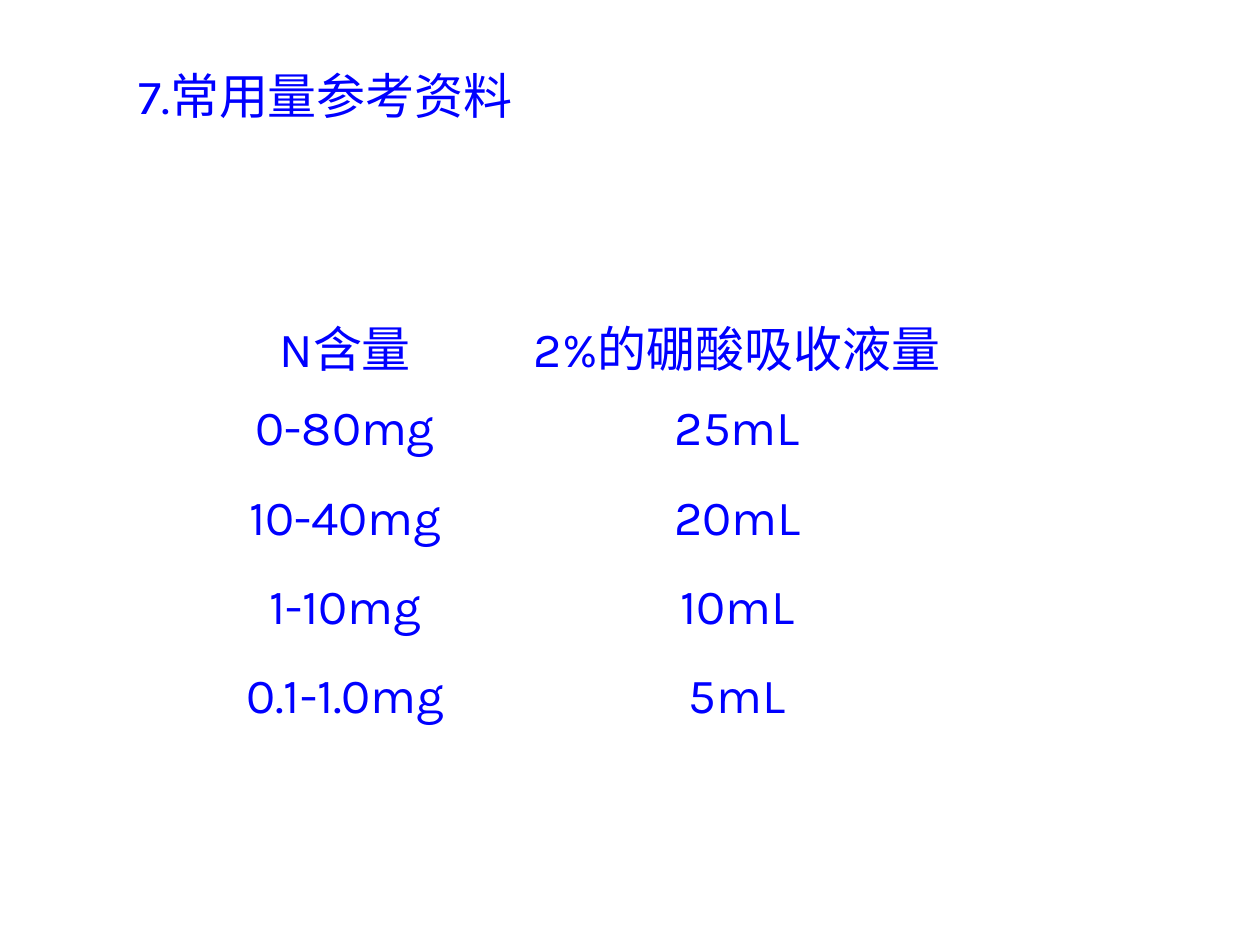
from lxml.etree import SubElement
from pptx import Presentation
from pptx.dml.color import RGBColor
from pptx.enum.text import MSO_ANCHOR, PP_ALIGN
from pptx.oxml.ns import qn
from pptx.util import Inches, Pt

TITLE = "7.常用量参考资料"
ROWS = [
    ("N含量", "2%的硼酸吸收液量"),
    ("0-80mg", "25mL"),
    ("10-40mg", "20mL"),
    ("1-10mg", "10mL"),
    ("0.1-1.0mg", "5mL"),
]
WIDTHS = (2.14, 4.08)
PITCH = 0.71
BLUE, WHITE = "0000FF", "FFFFFF"
THICK, THIN = 1.08, 0.45


def color(code):
    return RGBColor.from_string(code)


def write(frame, text):
    para = frame.paragraphs[0]
    para.text = text
    para.font.name = "Karla"
    para.font.size = Pt(28)
    para.font.color.rgb = color(BLUE)
    return para


def border(cell, sides):
    """Draw white cell edges; sides maps an edge tag to its points."""
    props = cell._tc.get_or_add_tcPr()
    for tag, width in sides.items():
        line = SubElement(props, qn(f"a:{tag}"), w=str(Pt(width)))
        fill = SubElement(line, qn("a:solidFill"))
        SubElement(fill, qn("a:srgbClr"), val=WHITE)


deck = Presentation()
deck.slide_width, deck.slide_height = Inches(10), Inches(7.5)
slide = deck.slides.add_slide(deck.slide_layouts[6])

title = slide.shapes.add_textbox(
    Inches(1), Inches(0.17), Inches(8.42), Inches(1.17)).text_frame
title.word_wrap = True
title.vertical_anchor = MSO_ANCHOR.MIDDLE
write(title, TITLE)

table = slide.shapes.add_table(
    len(ROWS), len(WIDTHS), Inches(1.67), Inches(2.42),
    Inches(sum(WIDTHS)), Inches(PITCH * len(ROWS))).table
table.first_row = table.horz_banding = False
for col, width in zip(table.columns, WIDTHS):
    col.width = Inches(width)

last = len(ROWS) - 1
for r, row in enumerate(ROWS):
    table.rows[r].height = Inches(PITCH)
    for c, text in enumerate(row):
        cell = table.cell(r, c)
        para = write(cell.text_frame, text)
        para.alignment = PP_ALIGN.CENTER
        para.space_before = Pt(7)
        border(cell, {
            "lnL": THIN if c else THICK,
            "lnR": THICK if c else THIN,
            "lnT": THICK if r in (0, last) else THIN,
            "lnB": THICK if r >= last - 1 else THIN,
        })
        cell.fill.background()

deck.save("out.pptx")
